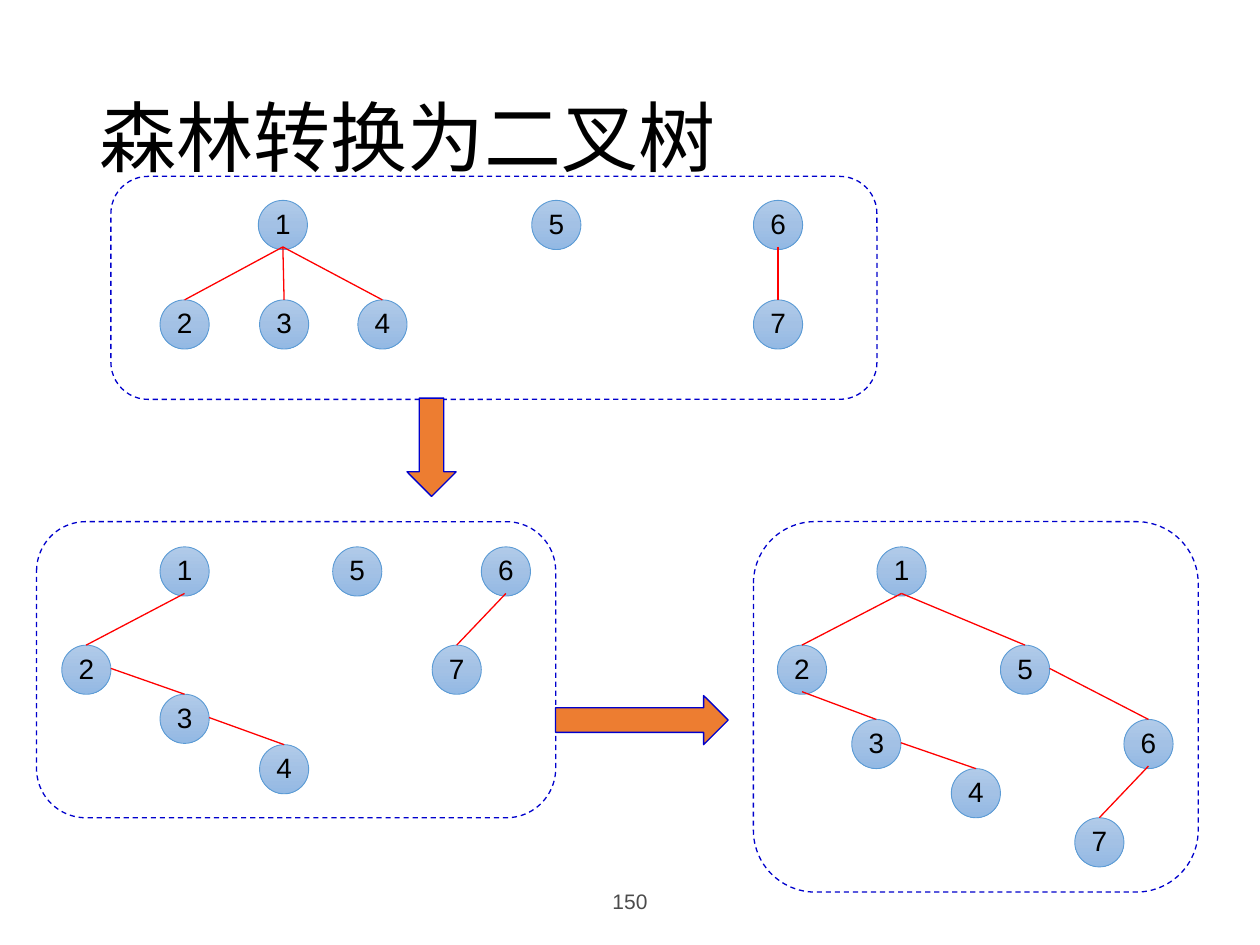
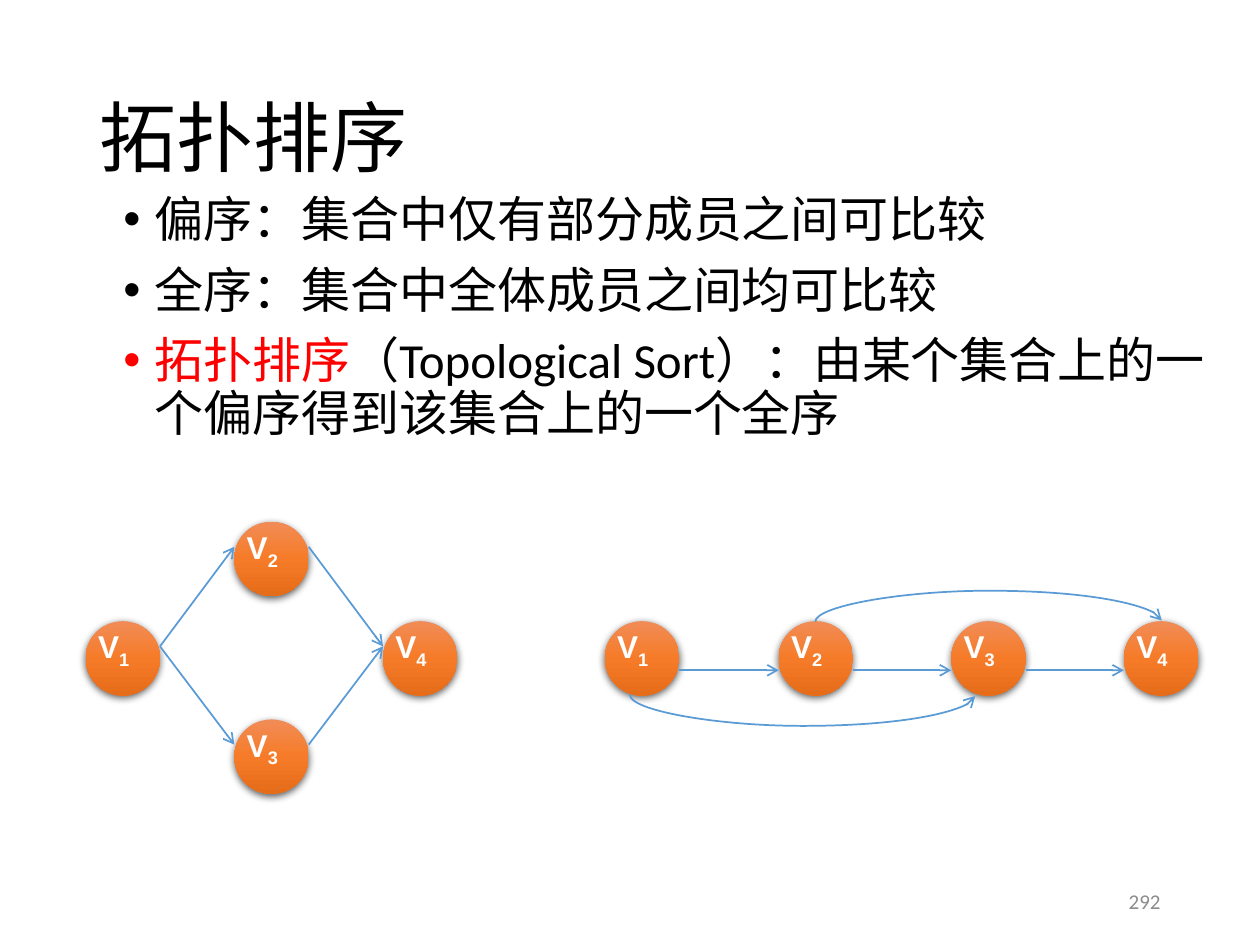
"""Build two slides: forest to binary tree, and topological sort."""
from copy import deepcopy
from dataclasses import dataclass

from lxml.etree import SubElement
from pptx import Presentation
from pptx.dml.color import RGBColor
from pptx.enum.dml import MSO_LINE
from pptx.enum.shapes import MSO_CONNECTOR, MSO_SHAPE
from pptx.enum.text import MSO_ANCHOR, PP_ALIGN
from pptx.oxml.ns import qn
from pptx.util import Inches, Pt

BLACK = RGBColor(0x00, 0x00, 0x00)
WHITE = RGBColor(0xFF, 0xFF, 0xFF)
RED = RGBColor(0xFF, 0x00, 0x00)
NAVY = RGBColor(0x00, 0x00, 0xCC)
ORANGE = RGBColor(0xED, 0x7D, 0x31)
SKY = RGBColor(0x5B, 0x9B, 0xD5)
DARK_GREY = RGBColor(0x4B, 0x4B, 0x4B)
LIGHT_GREY = RGBColor(0x8C, 0x8C, 0x8C)
BLUE_GRADIENT = (RGBColor(0xB1, 0xCB, 0xE9), RGBColor(0xA3, 0xC1, 0xE5), RGBColor(0x93, 0xB9, 0xE4))
ORANGE_GRADIENT = (RGBColor(0xF1, 0x8C, 0x57), RGBColor(0xF6, 0x7B, 0x28), RGBColor(0xE5, 0x6C, 0x19))
TOP, LEFT, BOTTOM, RIGHT = range(4)


@dataclass(frozen=True)
class Style:
    """Look of a piece of text."""
    size: float
    font: str
    colour: RGBColor
    bold: bool = False


@dataclass(frozen=True)
class NodeStyle:
    """Look of a round graph node and its label."""
    shape: MSO_SHAPE
    size: float
    label_height: float
    gradient: tuple
    text: Style
    align: PP_ALIGN
    outline: RGBColor | None = None
    shadow: bool = False


@dataclass(frozen=True)
class Edge:
    """Line from a side of one node label to a side of another."""
    start: str
    start_side: int
    end: str
    end_side: int


@dataclass(frozen=True)
class Tree:
    """Framed group of nodes, placed by top left corner, and edges."""
    frame: tuple
    nodes: dict
    edges: tuple


TITLE = Style(44, "Calibri", BLACK)
BODY = Style(28, "Calibri", BLACK)
KEY_TERM = Style(28, "Calibri", RED)
TREE_NODE = NodeStyle(MSO_SHAPE.OVAL, 0.39, 0.37, BLUE_GRADIENT, Style(16, "Arial", BLACK),
                      PP_ALIGN.CENTER, outline=SKY)
VERTEX = NodeStyle(MSO_SHAPE.FLOWCHART_CONNECTOR, 0.59, 0.4, ORANGE_GRADIENT,
                   Style(18, "Arial", WHITE, True), PP_ALIGN.LEFT, shadow=True)

FOREST = Tree(
    (0.88, 1.4, 6.08, 1.77),
    {"1": (2.05, 1.59), "2": (1.27, 2.38), "3": (2.06, 2.38), "4": (2.84, 2.38),
     "5": (4.22, 1.59), "6": (5.98, 1.59), "7": (5.98, 2.38)},
    tuple(Edge(parent, BOTTOM, child, TOP) for parent, child in ("12", "13", "14", "67")),
)
LINKED_FOREST = Tree(
    (0.29, 4.14, 4.12, 2.35),
    {"1": (1.27, 4.34), "2": (0.49, 5.12), "3": (1.27, 5.51), "4": (2.06, 5.91),
     "5": (2.64, 4.34), "6": (3.82, 4.34), "7": (3.43, 5.12)},
    (Edge("1", BOTTOM, "2", TOP), Edge("2", RIGHT, "3", TOP),
     Edge("3", RIGHT, "4", TOP), Edge("6", BOTTOM, "7", TOP)),
)
BINARY_TREE = Tree(
    (5.98, 4.14, 3.53, 2.94),
    {"1": (6.96, 4.34), "2": (6.17, 5.12), "3": (6.76, 5.71), "4": (7.55, 6.1),
     "5": (7.94, 5.12), "6": (8.92, 5.71), "7": (8.53, 6.49)},
    (Edge("1", BOTTOM, "2", TOP), Edge("1", BOTTOM, "5", TOP), Edge("2", BOTTOM, "3", TOP),
     Edge("3", RIGHT, "4", TOP), Edge("5", RIGHT, "6", TOP), Edge("6", BOTTOM, "7", TOP)),
)
PARTIAL_ORDER = {"1": (0.68, 4.93), "2": (1.86, 4.14), "3": (1.86, 5.71), "4": (3.04, 4.93)}
PARTIAL_ORDER_EDGES = tuple(Edge(start, RIGHT, end, LEFT) for start, end in ("12", "13", "24", "34"))
TOTAL_ORDER_LEFTS = (4.8, 6.18, 7.55, 8.92)
TOTAL_ORDER_TOP = 4.93


def place(*lengths: float) -> list:
    """Turn numbers into inch lengths."""
    return [Inches(length) for length in lengths]


def add_run(para, text: str, style: Style):
    """Append one styled run."""
    span = para.add_run()
    span.text = text
    span.font.size = Pt(style.size)
    span.font.name = style.font
    span.font.color.rgb = style.colour
    span.font.bold = style.bold
    return span


def add_box(page, area: tuple, anchor=MSO_ANCHOR.TOP, align=PP_ALIGN.LEFT):
    """Add a wrapping text box with an aligned first paragraph."""
    box = page.shapes.add_textbox(*place(*area))
    box.text_frame.word_wrap = True
    box.text_frame.vertical_anchor = anchor
    box.text_frame.paragraphs[0].alignment = align
    return box


def add_title(page, text: str) -> None:
    """Add the slide title."""
    para = add_box(page, (0.69, 0.4, 8.62, 1.45), MSO_ANCHOR.MIDDLE).text_frame.paragraphs[0]
    para.line_spacing = 0.9
    add_run(para, text, TITLE)


def add_page_number(page, number: int, left: float, width: float, align, style: Style) -> None:
    """Add the page number in the footer band."""
    box = add_box(page, (left, 6.95, width, 0.4), MSO_ANCHOR.MIDDLE, align)
    add_run(box.text_frame.paragraphs[0], str(number), style)


def add_bullets(page, area: tuple, items: tuple) -> None:
    """Add bulleted paragraphs, each a tuple of text and style pairs."""
    frame = add_box(page, area).text_frame
    for index, item in enumerate(items):
        para = frame.add_paragraph() if index else frame.paragraphs[0]
        para.line_spacing = 0.9
        para.space_before = Pt(10 if index else 0)
        properties = para._p.get_or_add_pPr()
        properties.set("marL", str(Inches(0.25)))
        properties.set("indent", str(Inches(-0.25)))
        SubElement(properties, qn("a:buFont")).set("typeface", "Arial")
        SubElement(properties, qn("a:buChar")).set("char", "•")
        for text, style in item:
            add_run(para, text, style)


def fill_gradient(shape, colours: tuple) -> None:
    """Fill a shape with a three-colour gradient from top to bottom."""
    shape.fill.gradient()
    shape.fill.gradient_angle = 270
    stop_list = shape.element.spPr.find(".//" + qn("a:gsLst"))
    stop_list.insert(1, deepcopy(stop_list[0]))
    for index, (stop, colour) in enumerate(zip(shape.fill.gradient_stops, colours)):
        stop.position = index / 2
        stop.color.rgb = colour


def add_soft_shadow(shape) -> None:
    """Add a blurred shadow just below a shape."""
    effects = shape.element.spPr.find(qn("a:effectLst"))
    shadow = SubElement(effects, qn("a:outerShdw"), blurRad=str(Pt(4.5)), dist=str(Pt(1.5)),
                        dir="5400000", algn="ctr", rotWithShape="0")
    colour = SubElement(shadow, qn("a:srgbClr"), val="000000")
    SubElement(colour, qn("a:alpha"), val="63000")


def add_node(page, left: float, top: float, style: NodeStyle):
    """Draw a round node and return its empty label box."""
    shape = page.shapes.add_shape(style.shape, *place(left, top, style.size, style.size))
    shape.shadow.inherit = False
    fill_gradient(shape, style.gradient)
    if style.outline:
        shape.line.color.rgb = style.outline
        shape.line.width = Pt(0.5)
    else:
        shape.line.fill.background()
    if style.shadow:
        add_soft_shadow(shape)
    return add_box(page, (left, top, style.size, style.label_height), align=style.align)


def add_tree_node(page, name: str, left: float, top: float):
    """Add a numbered tree node."""
    label = add_node(page, left, top, TREE_NODE)
    add_run(label.text_frame.paragraphs[0], name, TREE_NODE.text)
    return label


def add_vertex(page, name: str, left: float, top: float):
    """Add a graph vertex named V with a subscript."""
    label = add_node(page, left, top, VERTEX)
    para = label.text_frame.paragraphs[0]
    add_run(para, "V", VERTEX.text)
    add_run(para, name, VERTEX.text).font._element.set("baseline", "-25000")
    return label


def add_line(page, ends: tuple, colour: RGBColor, width: float, arrow=False,
             kind=MSO_CONNECTOR.STRAIGHT):
    """Add a connector without shadow, with an optional arrowhead."""
    line = page.shapes.add_connector(kind, *place(*ends))
    line.line.color.rgb = colour
    line.line.width = Pt(width)
    if arrow:
        SubElement(line.line._get_or_add_ln(), qn("a:tailEnd"), type="arrow")
    SubElement(line._element.spPr, qn("a:effectLst"))
    return line


def join(page, labels: dict, edges: tuple, colour: RGBColor, width: float, arrow=False) -> None:
    """Connect labels along the given edges."""
    for edge in edges:
        line = add_line(page, (0, 0, 1, 1), colour, width, arrow)
        line.begin_connect(labels[edge.start], edge.start_side)
        line.end_connect(labels[edge.end], edge.end_side)


def add_arc(page, start: float, end: float, level: float, above: bool) -> None:
    """Add a curved arrow bulging a quarter inch above or below a level."""
    middle, half, thin = (start + end) / 2, (end - start) / 2, 0.01
    rise = half if above else -half
    ends = (middle + thin / 2, level + rise, middle - thin / 2, level - rise)
    arc = add_line(page, ends, SKY, 1, True, MSO_CONNECTOR.CURVE)
    properties = arc._element.spPr
    properties.find(qn("a:xfrm")).set("rot", str((90 if above else 270) * 60000))
    geometry = properties.find(qn("a:prstGeom"))
    adjustments = geometry.find(qn("a:avLst"))
    if adjustments is None:
        adjustments = SubElement(geometry, qn("a:avLst"))
    SubElement(adjustments, qn("a:gd"), name="adj1", fmla="val 2500000")


def add_outlined(page, kind, area: tuple):
    """Add a preset shape with a thin navy outline."""
    shape = page.shapes.add_shape(kind, *place(*area))
    shape.shadow.inherit = False
    shape.line.color.rgb = NAVY
    shape.line.width = Pt(0.75)
    return shape


def add_tree(page, tree: Tree) -> None:
    """Draw a tree inside its dashed frame."""
    frame = add_outlined(page, MSO_SHAPE.ROUNDED_RECTANGLE, tree.frame)
    frame.fill.background()
    frame.line.dash_style = MSO_LINE.DASH
    labels = {name: add_tree_node(page, name, *corner) for name, corner in tree.nodes.items()}
    join(page, labels, tree.edges, RED, 0.75)


def build_forest_page(page) -> None:
    """Show a forest becoming a binary tree."""
    add_title(page, "森林转换为二叉树")
    add_page_number(page, 150, 3.31, 3.38, PP_ALIGN.CENTER, Style(12, "Arial", DARK_GREY))
    for tree in (FOREST, LINKED_FOREST, BINARY_TREE):
        add_tree(page, tree)
    for kind, area in ((MSO_SHAPE.DOWN_ARROW, (3.23, 3.16, 0.39, 0.78)),
                       (MSO_SHAPE.RIGHT_ARROW, (4.41, 5.52, 1.37, 0.39))):
        arrow = add_outlined(page, kind, area)
        arrow.fill.solid()
        arrow.fill.fore_color.rgb = ORANGE


def build_sort_page(page) -> None:
    """Show a partial order and a total order."""
    add_title(page, "拓扑排序")
    add_bullets(page, (0.88, 1.5, 8.91, 2.75), (
        (("偏序：集合中仅有部分成员之间可比较", BODY),),
        (("全序：集合中全体成员之间均可比较", BODY),),
        (("拓扑排序", KEY_TERM),
         ("（Topological Sort）：由某个集合上的一个偏序得到该集合上的一个全序", BODY)),
    ))
    labels = {name: add_vertex(page, name, *corner) for name, corner in PARTIAL_ORDER.items()}
    join(page, labels, PARTIAL_ORDER_EDGES, SKY, 1, True)
    for number, left in enumerate(TOTAL_ORDER_LEFTS, 1):
        add_vertex(page, str(number), left, TOTAL_ORDER_TOP)
    for left, following in zip(TOTAL_ORDER_LEFTS, TOTAL_ORDER_LEFTS[1:]):
        add_line(page, (left + VERTEX.size, 5.32, following, 5.32), SKY, 1, True)
    add_arc(page, 6.47, 9.22, TOTAL_ORDER_TOP, True)
    add_arc(page, 5, 7.74, TOTAL_ORDER_TOP + VERTEX.size, False)
    add_page_number(page, 292, 7.06, 2.25, PP_ALIGN.RIGHT, Style(12, "Calibri", LIGHT_GREY))


def main() -> None:
    """Build and save the deck."""
    deck = Presentation()
    deck.slide_width, deck.slide_height = place(10, 7.5)
    for build in (build_forest_page, build_sort_page):
        build(deck.slides.add_slide(deck.slide_layouts[6]))
    deck.save("out.pptx")


if __name__ == "__main__":
    main()
